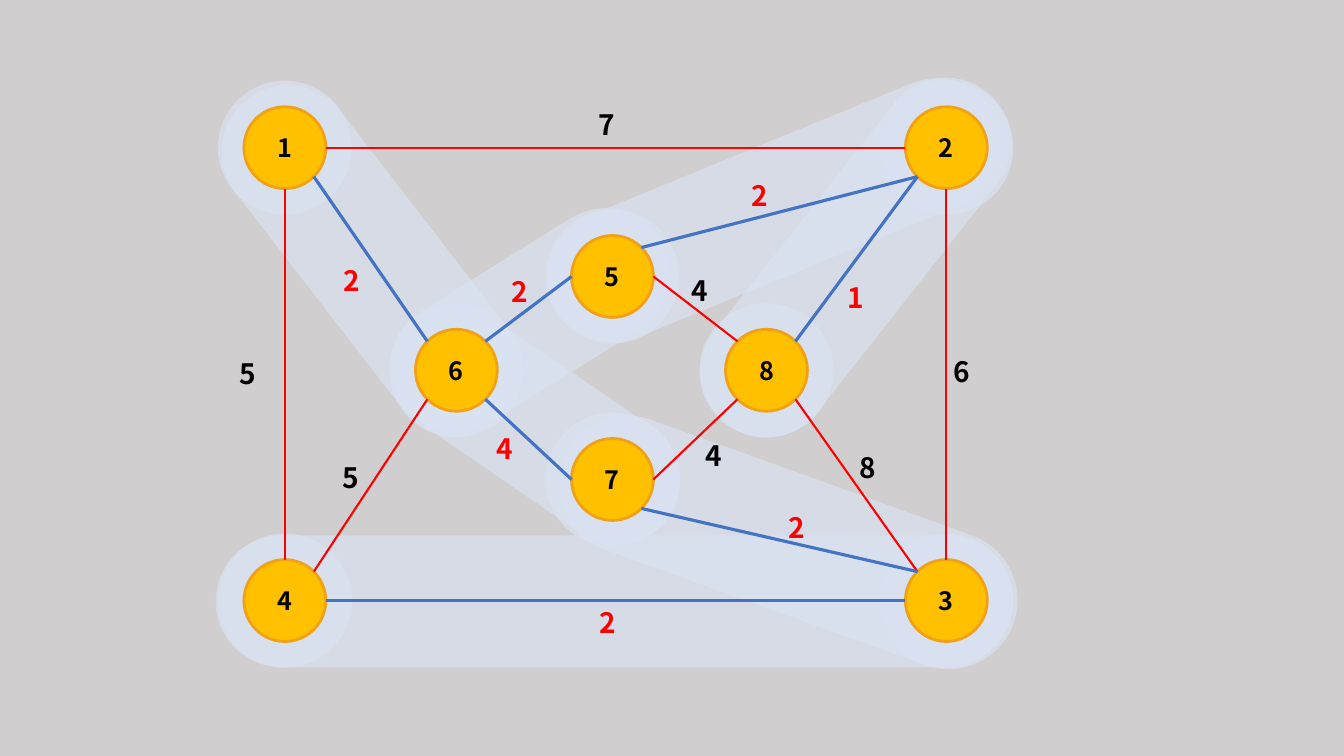
"""Draw a weighted graph whose spanning tree is marked by pale bands."""
from math import cos, radians, sin

from lxml import etree
from pptx import Presentation
from pptx.dml.color import RGBColor
from pptx.enum.shapes import MSO_CONNECTOR, MSO_SHAPE
from pptx.enum.text import MSO_ANCHOR, MSO_AUTO_SIZE, PP_ALIGN
from pptx.oxml.ns import qn
from pptx.util import Pt

LINE = MSO_CONNECTOR.STRAIGHT
OVAL = MSO_SHAPE.OVAL
ROUND = MSO_SHAPE.ROUNDED_RECTANGLE
MIDDLE = MSO_ANCHOR.MIDDLE
CENTER = PP_ALIGN.CENTER
GROW = MSO_AUTO_SIZE.SHAPE_TO_FIT_TEXT

GRAY = RGBColor(0xD0, 0xCE, 0xCE)
PALE = RGBColor(0xDA, 0xE3, 0xF3)
GOLD = RGBColor(0xFF, 0xC0, 0x00)
AMBER = RGBColor(0xF1, 0xA1, 0x16)
RED = RGBColor(0xFF, 0x00, 0x00)
BLUE = RGBColor(0x44, 0x72, 0xC4)
BLACK = RGBColor(0x00, 0x00, 0x00)

FONT = "Noto Sans CJK KR"
NODE, HALO = 58.5, 95.8
E, SE, S, SW, W, NW, N, NE = range(0, 360, 45)

NODES = {
    "1": (203.5, 105.5), "2": (676, 105.5), "4": (203.5, 429), "3": (676, 429),
    "5": (437.5, 197.5), "7": (437.5, 342.5), "8": (547.5, 264.5), "6": (326, 264.5),
}
# Each band: center x, center y, width, length, turn, nodes that get a halo
BANDS = [
    (438.8, 429.5, 94.3, 569.5, 90, "4"),
    (562.7, 387.4, 98.6, 342.7, 109.8, "3"),
    (389.9, 308.5, 91.4, 213.8, 124.5, "7"),
    (265.7, 186.1, 95, 291.6, 142.3, "1"),
    (378.7, 229, 93.6, 220.3, 58.1, "6"),
    (553.7, 150.1, 93.6, 343.4, 67.7, "5"),
    (611.3, 184, 93.6, 301.7, 38.2, "28"),
]
# Each edge: node, side, node, side, weight, label left, label top, in tree
EDGES = [
    ("1", E, "2", W, "7", 420.5, 73.5, False),
    ("1", SE, "6", NW, "2", 238.3, 185, True),
    ("4", NE, "6", SW, "5", 237.6, 325.4, False),
    ("4", N, "1", S, "5", 164.2, 251.3, False),
    ("4", E, "3", W, "2", 421.2, 429.1, True),
    ("6", SE, "7", W, "4", 347.8, 304.6, True),
    ("6", NE, "5", W, "2", 358.6, 192.2, True),
    ("5", E, "8", NW, "4", 486.7, 191.5, False),
    ("8", SE, "3", NW, "8", 607, 318.2, False),
    ("8", NE, "2", SW, "1", 598.3, 196.6, True),
    ("3", N, "2", S, "6", 673.9, 249.8, False),
    ("7", E, "8", SW, "4", 496.8, 309.6, False),
    ("5", NE, "2", SW, "2", 529.9, 123.8, True),
    ("7", SE, "3", NW, "2", 555.8, 361.4, True),
]


def add_form(slide, kind, mid, wide, high, color):
    """Add a flat filled shape centered on a point."""
    x, y = mid
    form = slide.shapes.add_shape(
        kind, Pt(x - wide / 2), Pt(y - high / 2), Pt(wide), Pt(high))
    form.shadow.inherit = False
    form.fill.solid()
    form.fill.fore_color.rgb = color
    form.line.fill.background()
    return form


def fade(form):
    """Make the fill of a shape 63 percent opaque."""
    color = form.fill._xPr.find(qn("a:solidFill"))[0]
    etree.SubElement(color, qn("a:alpha")).set("val", "63000")


def add_run(frame, text, size, color):
    """Add one bold run to the first paragraph of a frame."""
    run = frame.paragraphs[0].add_run()
    run.text = text
    font = run.font
    font.name, font.size, font.bold = FONT, Pt(size), True
    font.color.rgb = color
    props = font._element
    etree.SubElement(props, qn("a:ea")).set("typeface", FONT)


def add_band(slide, x, y, wide, long, turn, ends):
    """Add a turned band and the halos of its end nodes."""
    band = add_form(slide, ROUND, (x, y), wide, long, PALE)
    band.adjustments[0] = 0.5
    band.rotation = turn
    fade(band)
    for name in ends:
        fade(add_form(slide, OVAL, NODES[name], HALO, HALO, PALE))


def add_node(slide, name, mid):
    """Add a numbered node."""
    node = add_form(slide, OVAL, mid, NODE, NODE, GOLD)
    node.line.color.rgb = AMBER
    node.line.width = Pt(2)
    frame = node.text_frame
    frame.vertical_anchor = MIDDLE
    frame.paragraphs[0].alignment = CENTER
    add_run(frame, name, 18, BLACK)


def rim(name, side):
    """Return the point on a node's rim at a given angle."""
    x, y = NODES[name]
    turn = radians(side)
    return Pt(x + NODE / 2 * cos(turn)), Pt(y + NODE / 2 * sin(turn))


def add_edge(slide, start, out, end, into, tree):
    """Add a line between two nodes."""
    edge = slide.shapes.add_connector(LINE, *rim(start, out), *rim(end, into))
    edge.line.color.rgb = BLUE if tree else RED
    edge.line.width = Pt(2.25 if tree else 1.5)
    etree.SubElement(edge._element.spPr, qn("a:effectLst"))


def add_label(slide, text, left, top, tree):
    """Add the weight of an edge."""
    box = slide.shapes.add_textbox(Pt(left), Pt(top), Pt(26), Pt(31.5))
    frame = box.text_frame
    frame.word_wrap = False
    frame.auto_size = GROW
    add_run(frame, text, 20, RED if tree else BLACK)


def main():
    """Build the slide and save it."""
    deck = Presentation()
    deck.slide_width, deck.slide_height = Pt(960), Pt(540)
    slide = deck.slides.add_slide(deck.slide_layouts[6])
    back = slide.background.fill
    back.solid()
    back.fore_color.rgb = GRAY
    for band in BANDS:
        add_band(slide, *band)
    for name, mid in NODES.items():
        add_node(slide, name, mid)
    for start, out, end, into, text, left, top, tree in EDGES:
        add_edge(slide, start, out, end, into, tree)
        add_label(slide, text, left, top, tree)
    deck.save("out.pptx")


main()
